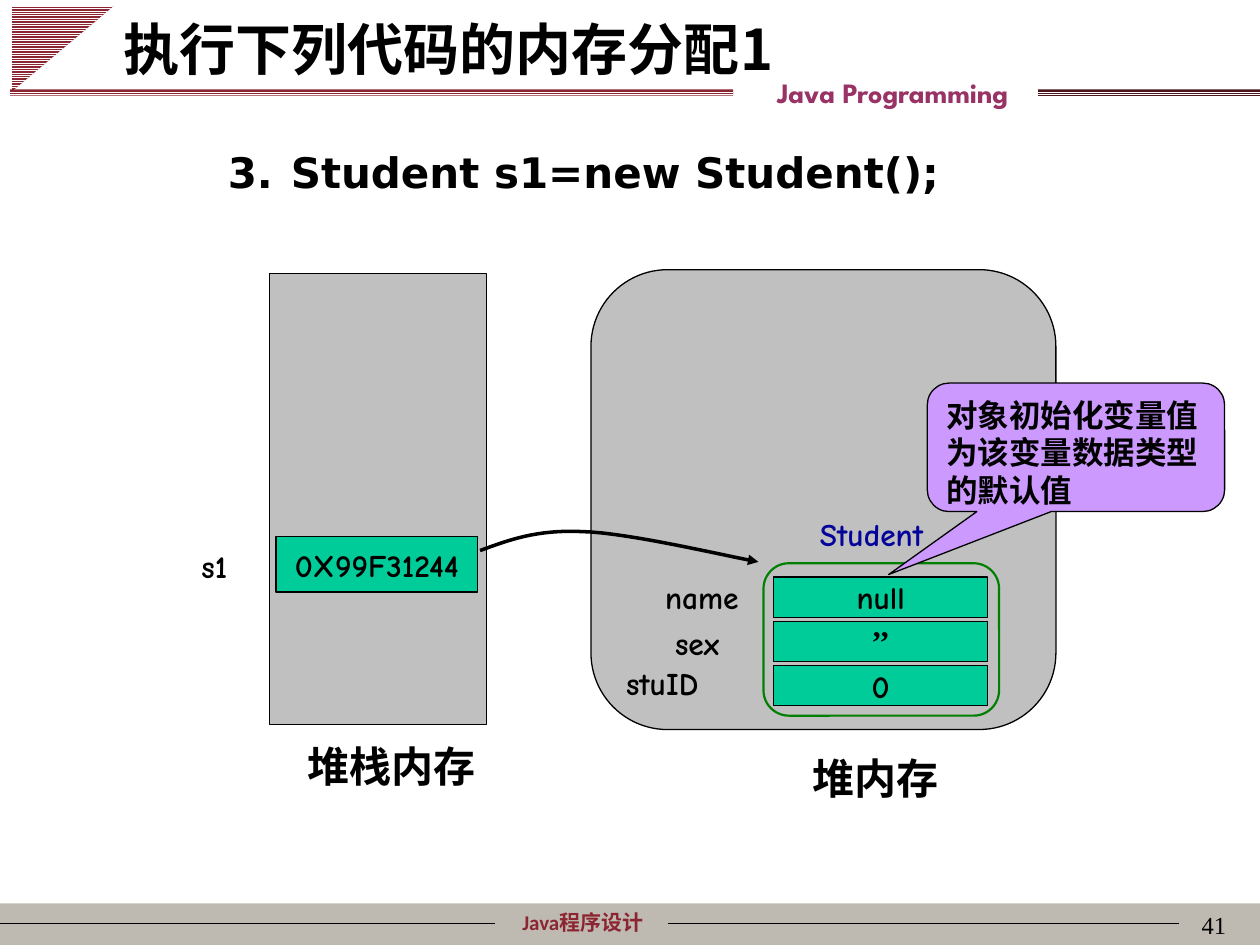
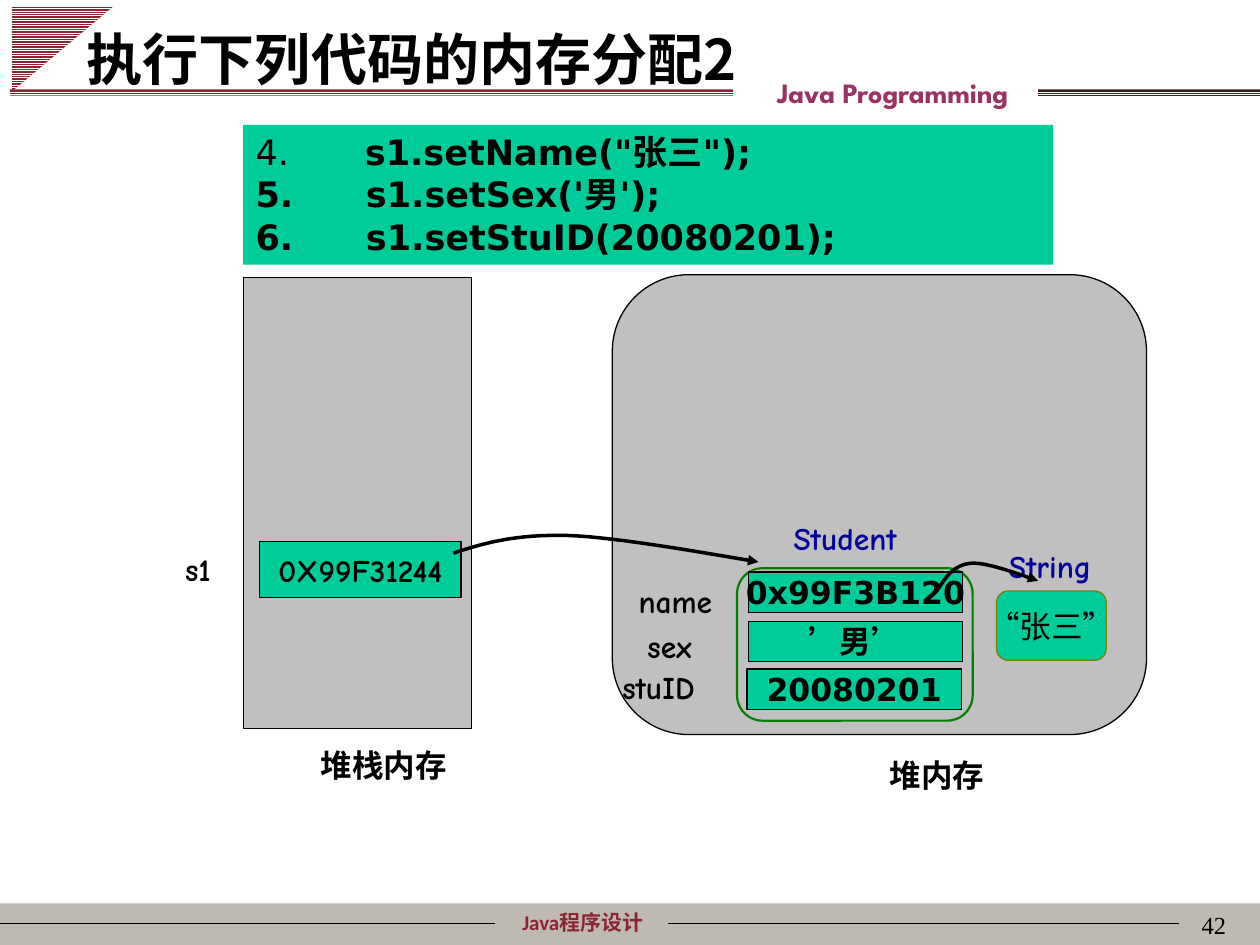
from dataclasses import dataclass
from lxml.etree import SubElement
from pptx import Presentation
from pptx.dml.color import RGBColor
from pptx.enum.dml import MSO_PATTERN
from pptx.enum.shapes import MSO_CONNECTOR, MSO_SHAPE
from pptx.enum.text import MSO_ANCHOR, PP_ALIGN
from pptx.oxml.ns import qn
from pptx.util import Inches, Pt


@dataclass(frozen=True)
class Theme:
    black: str = "000000"
    white: str = "FFFFFF"
    band: str = "BFBAB1"
    crimson: str = "8C2532"
    maroon: str = "4C141B"
    plum: str = "993366"
    memory: str = "C0C0C0"
    cell: str = "00CC99"
    frame: str = "008000"
    olive: str = "808000"
    callout: str = "CC99FF"
    navy: str = "04049A"
    title_font: str = "Noto Sans CJK SC"
    label_font: str = "Comic Neue"
    code_font: str = "DejaVu Sans"
    serif_font: str = "Times New Roman"
    footer_font: str = "Calibri"
    course_font: str = "League Spartan"
    title_size: int = 32
    heading_size: int = 24
    code_size: int = 20
    body_size: int = 18
    course_size: int = 16
    number_size: int = 14
    footer_size: int = 12


theme = Theme()


def add_box(page, at, lines=(), preset=None, fill=None, line=None, weight=0.75,
            family=theme.label_font, size=theme.body_size, color=theme.black, bold=True,
            align=PP_ALIGN.LEFT, anchor=MSO_ANCHOR.TOP, wrap=True, start=None, indent=0.5):
    place = [Inches(value) for value in at]
    if preset is None:
        box = page.shapes.add_textbox(*place)
    else:
        box = page.shapes.add_shape(preset, *place)
        box.shadow.inherit = False
    if fill:
        box.fill.solid()
        box.fill.fore_color.rgb = RGBColor.from_string(fill)
    if line:
        box.line.color.rgb = RGBColor.from_string(line)
        box.line.width = Pt(weight)
    else:
        box.line.fill.background()
    frame = box.text_frame
    frame.word_wrap = wrap
    frame.vertical_anchor = anchor
    for index, spans in enumerate(lines):
        para = frame.add_paragraph() if index else frame.paragraphs[0]
        para.alignment = align
        if start:
            properties = para._p.get_or_add_pPr()
            properties.set("marL", str(Inches(indent)))
            properties.set("indent", str(-Inches(indent)))
            SubElement(properties, qn("a:buAutoNum"), type="arabicPeriod", startAt=str(start))
        para.font.size = Pt(size)
        para.font.color.rgb = RGBColor.from_string(color)
        if isinstance(spans, str):
            para.add_run().text = spans
            para.font.name = family
            para.font.bold = bold
            continue
        for words, span_family, span_bold in spans:
            span = para.add_run()
            span.text = words
            span.font.name = span_family
            span.font.bold = span_bold
    return box


def add_curved_arrow(page, start, *curves):
    points = []
    origin = start
    for curve in curves:
        corners = (origin, *curve)
        for step in range(1, 17):
            t = step / 16
            weights = ((1 - t) ** 3, 3 * t * (1 - t) ** 2, 3 * t * t * (1 - t), t ** 3)
            points.append([Inches(sum(w * corner[axis] for w, corner in zip(weights, corners)))
                           for axis in (0, 1)])
        origin = curve[-1]
    builder = page.shapes.build_freeform(Inches(start[0]), Inches(start[1]))
    builder.add_line_segments(points, close=False)
    arrow = builder.convert_to_shape()
    arrow.shadow.inherit = False
    arrow.fill.background()
    arrow.line.color.rgb = RGBColor.from_string(theme.black)
    arrow.line.width = Pt(2)
    SubElement(arrow.line._get_or_add_ln(), qn("a:tailEnd"), type="triangle")


deck = Presentation()
deck.slide_width = Inches(10)
deck.slide_height = Inches(7.5)
layout = deck.slide_layouts[5]
pages = [deck.slides.add_slide(layout) for _ in range(2)]

first = pages[0]
shared = [
    add_box(first, (0, 7.17, 10, 0.33), preset=MSO_SHAPE.RECTANGLE, fill=theme.band),
    add_box(first, (3.62, 7.17, 2.01, 0.3), ["Java程序设计"], family=theme.footer_font,
            size=theme.footer_size, color=theme.crimson, align=PP_ALIGN.CENTER),
]
for left, right in ((0, 3.93), (5.3, 9.36)):
    rule = first.shapes.add_connector(MSO_CONNECTOR.STRAIGHT, Inches(left), Inches(7.33),
                                      Inches(right), Inches(7.33))
    rule.line.color.rgb = RGBColor.from_string(theme.black)
    rule.line.width = Pt(0.75)
    SubElement(rule.element.spPr, qn("a:effectLst"))
    shared.append(rule)
for preset, at, color, turn in (
    (MSO_SHAPE.RIGHT_TRIANGLE, (0.16, -0.02, 0.68, 0.81), theme.crimson, 90),
    (MSO_SHAPE.RECTANGLE, (8.24, 0.71, 1.76, 0.06), theme.maroon, 0),
    (MSO_SHAPE.RECTANGLE, (0.08, 0.71, 5.74, 0.05), theme.crimson, 0),
):
    stripes = add_box(first, at, preset=preset)
    stripes.rotation = turn
    stripes.fill.patterned()
    stripes.fill.pattern = MSO_PATTERN.LIGHT_HORIZONTAL
    stripes.fill.fore_color.rgb = RGBColor.from_string(theme.white)
    stripes.fill.back_color.rgb = RGBColor.from_string(color)
    shared.append(stripes)
shared.append(add_box(first, (5.08, 0.55, 4.01, 0.37), ["Java Programming"],
                      family=theme.course_font, size=theme.course_size, color=theme.plum,
                      align=PP_ALIGN.CENTER))
for shape in shared:
    layout.shapes.element.append(shape.element)

slides = [
    dict(
        number="41", title="执行下列代码的内存分配1", title_at=(0.88, 0, 7.93, 0.65),
        heap=(4.69, 2.14, 3.69, 3.65), stack=(2.14, 2.17, 1.72, 3.58),
        captions=(("堆栈内存", (2.14, 5.83, 1.94, 0.4)), ("堆内存", (5.5, 5.92, 2.89, 0.4))),
        caption_size=theme.heading_size, address=(2.19, 4.26), frame=(6.06, 4.47),
        labels=(("s1", 1.5, 4.29), ("name", 5.18, 4.54), ("sex", 5.26, 4.9), ("stuID", 4.87, 5.22)),
        student=(6.41, 4.04),
        cells=((6.14, 4.58, "null", theme.label_font), (6.14, 4.93, "’’", theme.serif_font),
               (6.14, 5.28, "0", theme.label_font)),
        arrow=((3.81, 4.37), ((4.03, 4.29), (4.26, 4.2), (4.63, 4.22)),
               ((5, 4.23), (5.79, 4.42), (6.02, 4.46))),
    ),
    dict(
        number="42", title="执行下列代码的内存分配2", title_at=(0.59, 0.08, 7.32, 0.65),
        heap=(4.86, 2.18, 4.24, 3.65), stack=(1.93, 2.2, 1.81, 3.58),
        captions=(("堆栈内存", (1.93, 5.87, 2.23, 0.4)), ("堆内存", (5.78, 5.95, 3.31, 0.4))),
        caption_size=theme.body_size, address=(2.06, 4.3), frame=(5.85, 4.51),
        labels=(("s1", 1.37, 4.32), ("name", 4.97, 4.57), ("sex", 5.04, 4.93), ("stuID", 4.84, 5.25)),
        student=(6.2, 4.07),
        cells=((5.94, 4.54, "0x99F3B120", theme.code_font),
               (5.94, 4.93, [("’", theme.serif_font, True), ("男", theme.code_font, True),
                             ("’", theme.serif_font, True)], theme.code_font),
               (5.93, 5.31, "20080201", theme.code_font)),
        arrow=((3.6, 4.39), ((3.84, 4.31), (4.09, 4.24), (4.5, 4.25)),
               ((4.9, 4.26), (5.77, 4.42), (6.02, 4.46))),
    ),
]
cell_style = dict(fill=theme.cell, line=theme.black, align=PP_ALIGN.CENTER,
                  anchor=MSO_ANCHOR.MIDDLE, wrap=False)

for page, content in zip(pages, slides):
    title = page.shapes.title
    title.left, title.top, title.width, title.height = map(Inches, content["title_at"])
    title.text_frame.text = content["title"]
    title.text_frame.word_wrap = True
    title.text_frame.vertical_anchor = MSO_ANCHOR.BOTTOM
    title.text_frame.margin_top = title.text_frame.margin_bottom = 0
    para = title.text_frame.paragraphs[0]
    para.alignment = PP_ALIGN.LEFT
    para.font.name = theme.title_font
    para.font.size = Pt(theme.title_size)
    para.font.bold = True
    para.font.color.rgb = RGBColor.from_string(theme.black)
    add_box(page, (7.75, 7.17, 2.08, 0.5), [content["number"]], family=theme.serif_font,
            size=theme.number_size, bold=False, align=PP_ALIGN.RIGHT)

    add_box(page, content["heap"], preset=MSO_SHAPE.ROUNDED_RECTANGLE,
            fill=theme.memory, line=theme.black)
    add_box(page, content["stack"], preset=MSO_SHAPE.RECTANGLE,
            fill=theme.memory, line=theme.black)
    for caption, at in content["captions"]:
        add_box(page, at, [caption], size=content["caption_size"], align=PP_ALIGN.CENTER)
    add_box(page, (*content["address"], 1.6, 0.44), ["0X99F31244"],
            preset=MSO_SHAPE.RECTANGLE, **cell_style)
    add_box(page, (*content["frame"], 1.87, 1.21), preset=MSO_SHAPE.ROUNDED_RECTANGLE,
            fill=theme.memory, line=theme.frame, weight=1.25)
    for left, top, value, family in content["cells"]:
        add_box(page, (left, top, 1.7, 0.32), [value], preset=MSO_SHAPE.RECTANGLE,
                family=family, **cell_style)
    for label, left, top in content["labels"]:
        add_box(page, (left, top, 0.92, 0.4), [label])
    add_box(page, (*content["student"], 1.17, 0.4), ["Student"], color=theme.navy)
    add_curved_arrow(page, *content["arrow"])

create_page, update_page = pages
add_box(create_page, (1.71, 1.11, 6.43, 0.5), ["Student s1=new Student();"],
        family=theme.code_font, size=theme.heading_size, start=3)
callout = add_box(create_page, (7.36, 3.04, 2.36, 1.02), ["对象初始化变量值为该变量数据类型的默认值"],
                  preset=MSO_SHAPE.ROUNDED_RECTANGULAR_CALLOUT, fill=theme.callout,
                  line=theme.black, family=theme.code_font)
for index, value in enumerate((-0.63, 0.99, 0.17)):
    callout.adjustments[index] = value

add_box(update_page, (1.93, 0.99, 6.43, 1.11),
        [[(" ", theme.code_font, False), ('s1.setName("张三");', theme.code_font, True)],
         " s1.setSex('男');", " s1.setStuID(20080201);"],
        preset=MSO_SHAPE.RECTANGLE, fill=theme.cell, family=theme.code_font,
        size=theme.code_size, start=4, indent=0.78)
add_box(update_page, (7.91, 4.69, 0.87, 0.55),
        [[("“", theme.serif_font, False), ("张三", theme.code_font, False),
          ("”", theme.serif_font, False)]],
        preset=MSO_SHAPE.ROUNDED_RECTANGLE, **{**cell_style, "line": theme.olive})
add_box(update_page, (7.91, 4.29, 0.94, 0.4), ["String"], color=theme.navy)
add_curved_arrow(update_page, (7.45, 4.67), ((7.51, 4.57), (7.58, 4.48), (7.71, 4.47)),
                 ((7.84, 4.46), (8.15, 4.58), (8.24, 4.61)))

deck.save("out.pptx")
